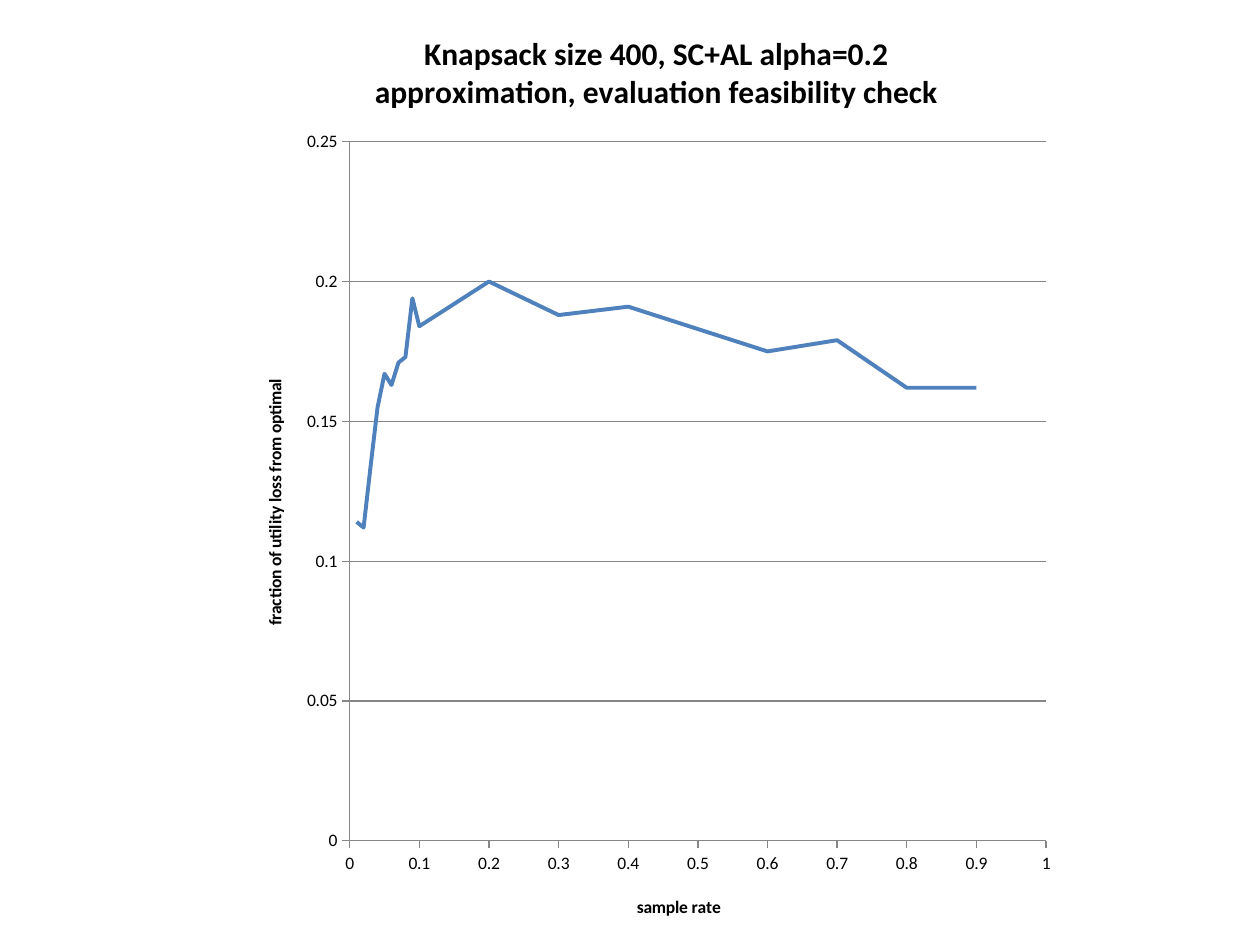
from lxml.etree import SubElement
from pptx import Presentation
from pptx.chart.data import XyChartData
from pptx.dml.color import RGBColor
from pptx.enum.chart import XL_CHART_TYPE, XL_TICK_LABEL_POSITION, XL_TICK_MARK
from pptx.oxml.ns import qn
from pptx.util import Inches, Pt

FONT = "Calibri"
BLACK, GRAY, BLUE = "000000", "868686", "4F81BD"

SAMPLE_RATES = [n / 100 for n in range(1, 10)] + [n / 10 for n in range(1, 10)]
UTILITY_LOSSES = [0.114, 0.112, 0.134, 0.155, 0.167, 0.163, 0.171, 0.173, 0.194,
                  0.184, 0.2, 0.188, 0.191, 0.183, 0.175, 0.179, 0.162, 0.162]


def color(hex_text):
    return RGBColor.from_string(hex_text)


def style_font(font, size, bold=False):
    font.name = FONT
    font.size = Pt(size)
    font.bold = bold
    font.color.rgb = color(BLACK)


def style_line(line, hex_text, width):
    line.color.rgb = color(hex_text)
    line.width = Pt(width)


def set_title(owner, text, size):
    """Title a chart or an axis."""
    text_frame = owner.text_frame
    text_frame.text = text
    for run in text_frame.paragraphs[0].runs:
        style_font(run.font, size, bold=True)


def style_axis(axis, title, maximum, step, gridlines):
    axis.minimum_scale, axis.maximum_scale, axis.major_unit = 0, maximum, step
    axis.major_tick_mark = XL_TICK_MARK.OUTSIDE
    axis.minor_tick_mark = XL_TICK_MARK.NONE
    axis.tick_label_position = XL_TICK_LABEL_POSITION.NEXT_TO_AXIS
    axis.tick_labels.number_format = "General"
    axis.tick_labels.number_format_is_linked = False
    style_font(axis.tick_labels.font, 10)
    style_line(axis.format.line, GRAY, 0.75)
    axis.has_major_gridlines = gridlines
    if gridlines:
        style_line(axis.major_gridlines.format.line, GRAY, 0.75)
    set_title(axis.axis_title, title, 10)


def place_plot_area(chart, x, y, w, h):
    """Fix the inner plot area, in fractions of the chart."""
    plot_area = chart.plots[0]._element.getparent()
    for old_layout in plot_area.findall(qn("c:layout")):
        plot_area.remove(old_layout)
    layout = SubElement(plot_area, qn("c:layout"))
    plot_area.insert(0, layout)
    manual = SubElement(layout, qn("c:manualLayout"))
    settings = {"layoutTarget": "inner", "xMode": "edge", "yMode": "edge",
                "x": x, "y": y, "w": w, "h": h}
    for name, value in settings.items():
        SubElement(manual, qn(f"c:{name}")).set("val", str(value))


def add_loss_chart(slide, left, top, width, height):
    data = XyChartData()
    points = data.add_series("Series 1")
    for rate, loss in zip(SAMPLE_RATES, UTILITY_LOSSES):
        points.add_data_point(rate, loss)
    chart = slide.shapes.add_chart(XL_CHART_TYPE.XY_SCATTER_LINES_NO_MARKERS,
                                   left, top, width, height, data).chart
    style_font(chart.font, 10)
    chart.has_legend = False
    chart.has_title = True
    set_title(chart.chart_title, "Knapsack size 400, SC+AL alpha=0.2 "
              "approximation, evaluation feasibility check", 18)
    chart.chart_title.include_in_layout = False

    # Axes
    style_axis(chart.category_axis, "sample rate", 1, 0.1, False)
    style_axis(chart.value_axis, "fraction of utility loss from optimal", 0.25, 0.05, True)
    place_plot_area(chart, 0.13, 0.15, 0.84, 0.74)

    # Loss line
    chart.plots[0].vary_by_categories = False
    series = chart.plots[0].series[0]
    series.smooth = False
    style_line(series.format.line, BLUE, 2.25)


presentation = Presentation()
presentation.slide_width, presentation.slide_height = Inches(10), Inches(7.5)
slide = presentation.slides.add_slide(presentation.slide_layouts[6])
add_loss_chart(slide, Inches(1.92), Inches(0), Inches(6.58), Inches(7.5))
presentation.save("out.pptx")
